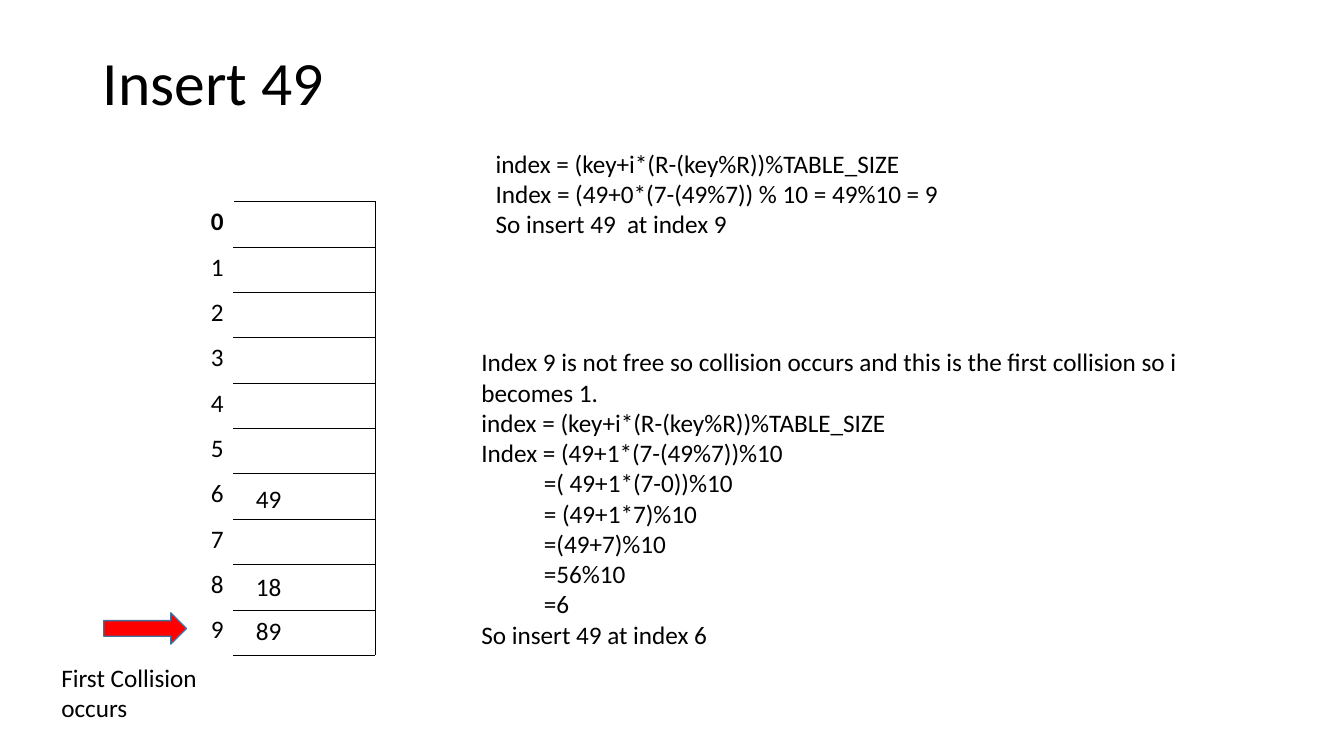
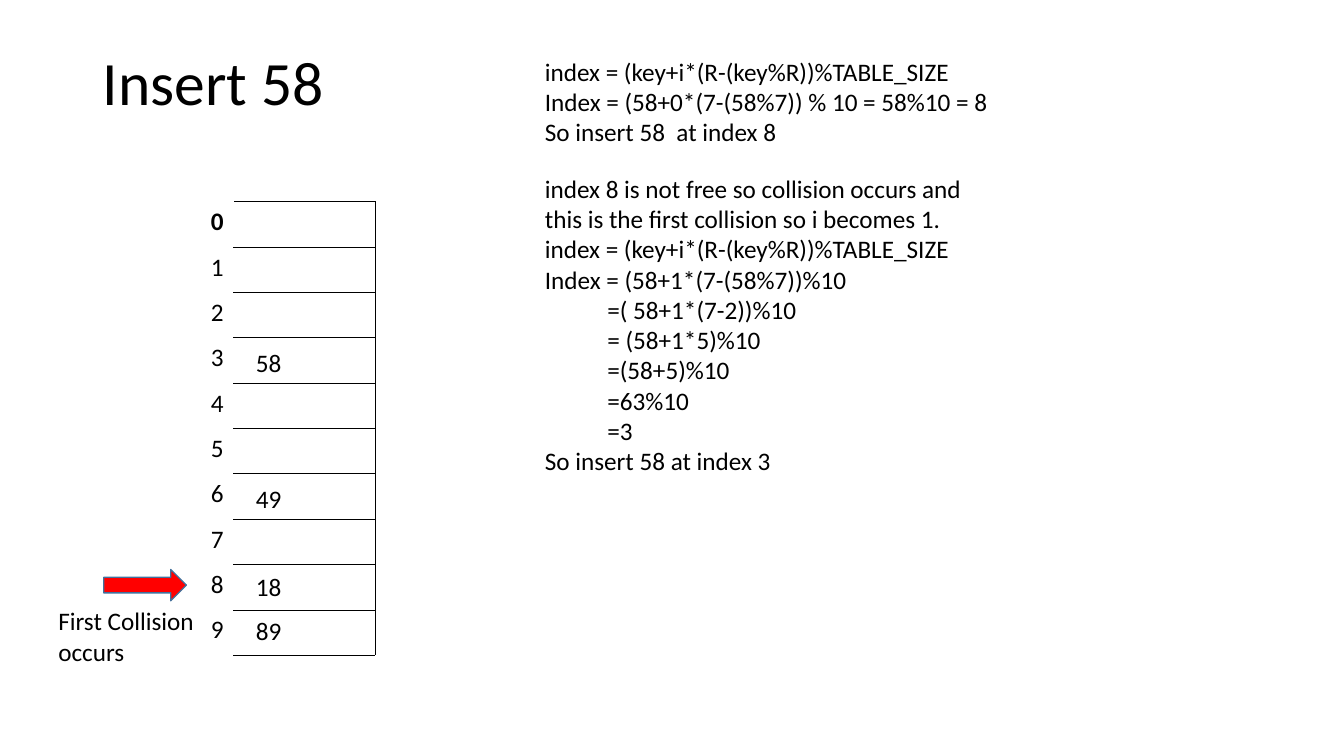
from dataclasses import dataclass
from typing import Any

from lxml import etree
from pptx import Presentation
from pptx import util as u
from pptx.dml.color import RGBColor
from pptx.enum import shapes, text
from pptx.oxml import ns

SCALE = 9144
BLACK = RGBColor(0x00, 0x00, 0x00)
WHITE = RGBColor(0xFF, 0xFF, 0xFF)
RED = RGBColor(0xFF, 0x00, 0x00)
BLUE = RGBColor(0x41, 0x71, 0x9C)

SIZE = 10
PRIME = 7
ROW = 45
COL = 140
INDENT = 62
BODY = {"name": "Calibri", "size": u.Pt(18), "bold": False}
HEAD = {**BODY, "size": u.Pt(44)}
TITLE = {"alignment": text.PP_ALIGN.LEFT, "line_spacing": 0.9}
WRAP = {"word_wrap": True, "auto_size": text.MSO_AUTO_SIZE.SHAPE_TO_FIT_TEXT}


def px(n: int) -> u.Emu:
    return u.Emu(n * SCALE)


@dataclass(frozen=True)
class Box:
    left: int
    top: int
    width: int
    height: int

    def emu(self) -> tuple[u.Emu, ...]:
        return tuple(px(n) for n in (self.left, self.top, self.width, self.height))


@dataclass(frozen=True)
class Line:
    words: str
    indent: int = 0


@dataclass(frozen=True)
class Entry:
    key: int
    top: int


@dataclass(frozen=True)
class Page:
    key: int
    lead: str
    first: Box
    second: Box
    arrow: Box
    label: Box
    entries: list[Entry]


STORED = [Entry(89, 606), Entry(18, 562), Entry(49, 475)]
PAGES = [
    Page(49, "Index", Box(482, 142, 579, 100), Box(468, 339, 798, 340),
         Box(103, 608, 82, 31), Box(51, 652, 158, 70), STORED),
    Page(58, "index", Box(531, 51, 579, 100), Box(531, 167, 471, 340),
         Box(103, 565, 82, 31), Box(48, 596, 158, 70), STORED + [Entry(58, 340)]),
]


def apply(target: Any, values: dict[str, Any]) -> None:
    for name, value in values.items():
        setattr(target, name, value)


def style(font: Any, values: dict[str, Any]) -> None:
    apply(font, values)
    font.color.rgb = BLACK


def add_title(slide: Any, words: str) -> None:
    title = slide.shapes.title
    apply(title, dict(zip(("left", "top", "width", "height"), Box(92, 40, 1150, 90).emu())))
    frame = title.text_frame
    frame.text = words
    frame.vertical_anchor = text.MSO_ANCHOR.MIDDLE
    apply(frame.paragraphs[0], TITLE)
    style(frame.paragraphs[0].runs[0].font, HEAD)


def add_note(slide: Any, box: Box, lines: list[Line]) -> None:
    frame = slide.shapes.add_textbox(*box.emu()).text_frame
    apply(frame, WRAP)
    for i, line in enumerate(lines):
        para = frame.add_paragraph() if i else frame.paragraphs[0]
        if line.indent:
            para._p.get_or_add_pPr().set("marL", str(px(line.indent)))
        run = para.add_run()
        run.text = line.words
        style(run.font, BODY)


def add_edges(cell: Any) -> None:
    props = cell._tc.get_or_add_tcPr()
    for side in ("a:lnL", "a:lnR", "a:lnT", "a:lnB"):
        edge = etree.SubElement(props, ns.qn(side), w=str(u.Pt(0.45)))
        fill = etree.SubElement(edge, ns.qn("a:solidFill"))
        etree.SubElement(fill, ns.qn("a:srgbClr"), val=str(BLACK))


def add_grid(slide: Any) -> None:
    box = Box(92, 200, 2 * COL, SIZE * ROW)
    table = slide.shapes.add_table(SIZE, 2, *box.emu()).table
    apply(table, {"first_row": False, "horz_banding": False})
    for i in range(SIZE):
        index, slot = table.cell(i, 0), table.cell(i, 1)
        index.text = str(i)
        para = index.text_frame.paragraphs[0]
        para.alignment = text.PP_ALIGN.RIGHT
        style(para.runs[0].font, {**BODY, "bold": i == 0})
        add_edges(slot)
        for cell in (index, slot):
            cell.fill.solid()
            cell.fill.fore_color.rgb = WHITE


def add_arrow(slide: Any, box: Box) -> None:
    arrow = slide.shapes.add_shape(shapes.MSO_SHAPE.RIGHT_ARROW, *box.emu())
    arrow.shadow.inherit = False
    arrow.fill.solid()
    arrow.fill.fore_color.rgb = RED
    arrow.line.color.rgb = BLUE
    arrow.line.width = u.Pt(1)


def first_try(key: int) -> list[Line]:
    home = key % SIZE
    return [
        Line("index = (key+i*(R-(key%R))%TABLE_SIZE"),
        Line(f"Index = ({key}+0*({PRIME}-({key}%{PRIME})) % {SIZE} = {key}%{SIZE} = {home}"),
        Line(f"So insert {key}  at index {home}"),
    ]


def next_try(key: int, lead: str) -> list[Line]:
    rest = key % PRIME
    step = PRIME - rest
    total = key + step
    sums = [
        f"=( {key}+1*({PRIME}-{rest}))%{SIZE}",
        f"= ({key}+1*{step})%{SIZE}",
        f"=({key}+{step})%{SIZE}",
        f"={total}%{SIZE}",
        f"={total % SIZE}",
    ]
    return [
        Line(f"{lead} {key % SIZE} is not free so collision occurs and "
             "this is the first collision so i becomes 1."),
        Line("index = (key+i*(R-(key%R))%TABLE_SIZE"),
        Line(f"Index = ({key}+1*({PRIME}-({key}%{PRIME}))%{SIZE}"),
        *(Line(words, INDENT) for words in sums),
        Line(f"So insert {key} at index {total % SIZE}"),
    ]


def add_page(deck: Any, page: Page) -> None:
    slide = deck.slides.add_slide(deck.slide_layouts.get_by_name("Title Only"))
    add_title(slide, f"Insert {page.key}")
    add_grid(slide)
    add_note(slide, page.first, first_try(page.key))
    add_note(slide, page.second, next_try(page.key, page.lead))
    for entry in page.entries:
        add_note(slide, Box(244, entry.top, 61, 40), [Line(str(entry.key))])
    add_arrow(slide, page.arrow)
    add_note(slide, page.label, [Line("First Collision occurs")])


def main() -> None:
    deck = Presentation()
    apply(deck, {"slide_width": px(1334), "slide_height": px(750)})
    for page in PAGES:
        add_page(deck, page)
    deck.save("out.pptx")


if __name__ == "__main__":
    main()
